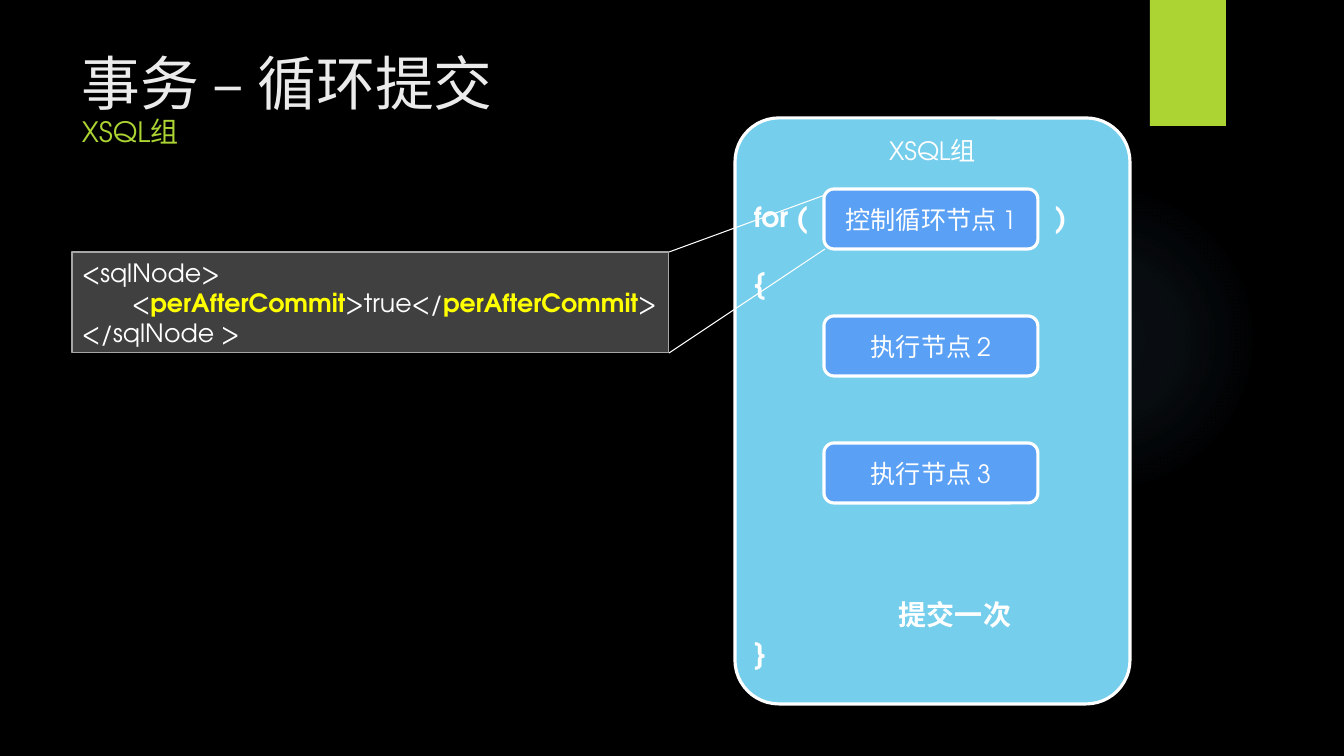
from dataclasses import dataclass

from lxml.etree import SubElement
from pptx import Presentation
from pptx.dml.color import RGBColor
from pptx.enum.shapes import MSO_CONNECTOR, MSO_SHAPE
from pptx.enum.text import MSO_ANCHOR, MSO_AUTO_SIZE, PP_ALIGN
from pptx.oxml import parse_xml
from pptx.oxml.ns import nsdecls, qn
from pptx.util import Emu, Pt

EMU_PER_PX = 914400 / 100.8


@dataclass(frozen=True)
class Theme:
    font: str = "TeX Gyre Adventor"
    background: str = "000000"
    glow: str = "7AC4F0"
    title: str = "EBEBEB"
    accent: str = "ACD433"
    white: str = "FFFFFF"
    group: str = "75CEEC"
    node: str = "5AA0F5"
    code_fill: str = "404040"
    code_line: str = "A6A6A6"
    highlight: str = "FFFF00"
    title_size: int = 42
    label_size: int = 20
    body_size: int = 18
    thick: float = 2.25
    thin: float = 0.75


THEME = Theme()


def px(length):
    return Emu(round(length * EMU_PER_PX))


def rgb(color):
    return RGBColor.from_string(color)


def add_run(paragraph, text, size=THEME.body_size, color=THEME.white, bold=False):
    run = paragraph.add_run()
    run.text = text
    run.font.name = THEME.font
    run.font.size = Pt(size)
    run.font.bold = bold
    run.font.color.rgb = rgb(color)


def add_panel(slide, kind, box, fill, line=None, width=THEME.thick):
    shape = slide.shapes.add_shape(kind, *map(px, box))
    shape.shadow.inherit = False
    shape.fill.solid()
    shape.fill.fore_color.rgb = rgb(fill)
    if line:
        shape.line.color.rgb = rgb(line)
        shape.line.width = Pt(width)
    else:
        shape.line.fill.background()
    return shape


def add_rounded_box(slide, box, fill, text, anchor, radius=0.1667):
    shape = add_panel(slide, MSO_SHAPE.ROUNDED_RECTANGLE, box, fill, THEME.white)
    shape.adjustments[0] = radius
    frame = shape.text_frame
    frame.word_wrap = True
    frame.vertical_anchor = anchor
    paragraph = frame.paragraphs[0]
    paragraph.alignment = PP_ALIGN.CENTER
    add_run(paragraph, text)


def add_label(slide, box, text):
    frame = slide.shapes.add_textbox(*map(px, box)).text_frame
    frame.word_wrap = False
    frame.auto_size = MSO_AUTO_SIZE.SHAPE_TO_FIT_TEXT
    add_run(frame.paragraphs[0], text, THEME.label_size, bold=True)


def add_glow(slide, box):
    """Add a soft circle that fades out from its centre."""
    shape = add_panel(slide, MSO_SHAPE.OVAL, box, THEME.glow)
    stops = "".join(
        f'<a:gs pos="{position}000"><a:srgbClr val="{THEME.glow}">'
        f'<a:alpha val="{alpha}000"/></a:srgbClr></a:gs>'
        for position, alpha in ((0, 7), (36, 6), (69, 0))
    )
    gradient = parse_xml(
        f'<a:gradFill {nsdecls("a")}><a:gsLst>{stops}</a:gsLst><a:path path="circle">'
        '<a:fillToRect l="50000" t="50000" r="50000" b="50000"/></a:path></a:gradFill>'
    )
    properties = shape.element.spPr
    properties.replace(properties.find(qn("a:solidFill")), gradient)


def add_title(slide, box, title, subtitle):
    frame = slide.shapes.add_textbox(*map(px, box)).text_frame
    frame.word_wrap = True
    paragraph = frame.paragraphs[0]
    paragraph.line_spacing = 0.9
    add_run(paragraph, title, THEME.title_size, THEME.title)
    paragraph.add_line_break()
    add_run(paragraph, subtitle, THEME.label_size, THEME.accent)


def add_code(slide, box, lines):
    """Add a code box; each line is a list of (text, highlighted) pairs."""
    shape = add_panel(slide, MSO_SHAPE.RECTANGLE, box, THEME.code_fill,
                      THEME.code_line, THEME.thin)
    frame = shape.text_frame
    frame.word_wrap = True
    frame.vertical_anchor = MSO_ANCHOR.TOP
    for index, line in enumerate(lines):
        paragraph = frame.add_paragraph() if index else frame.paragraphs[0]
        paragraph.alignment = PP_ALIGN.LEFT
        properties = paragraph._p.get_or_add_pPr()
        tabs = SubElement(properties, qn("a:tabLst"))
        SubElement(tabs, qn("a:tab"), pos=str(px(50)), algn="l")
        for text, highlighted in line:
            color = THEME.highlight if highlighted else THEME.white
            add_run(paragraph, text, color=color, bold=highlighted)


def add_line(slide, start, end):
    line = slide.shapes.add_connector(MSO_CONNECTOR.STRAIGHT, *map(px, start + end))
    line.line.color.rgb = rgb(THEME.white)
    line.line.width = Pt(THEME.thin)
    SubElement(line.element.spPr, qn("a:effectLst"))


def main():
    presentation = Presentation()
    presentation.slide_width, presentation.slide_height = px(1344), px(756)
    slide = presentation.slides.add_slide(presentation.slide_layouts[6])
    slide.background.fill.solid()
    slide.background.fill.fore_color.rgb = rgb(THEME.background)

    add_glow(slide, (949, 184, 310, 310))
    add_panel(slide, MSO_SHAPE.RECTANGLE, (1150, 0, 76, 126), THEME.accent)
    add_title(slide, (72, 50, 1037, 154), "事务 – 循环提交", "XSQL组")

    add_rounded_box(slide, (735, 118, 395, 586), THEME.group, "XSQL组",
                    MSO_ANCHOR.TOP, 0.111)
    for index, name in enumerate(("控制循环节点 1", "执行节点 2", "执行节点 3")):
        add_rounded_box(slide, (824, 189 + 127 * index, 214, 60), THEME.node, name,
                        MSO_ANCHOR.MIDDLE)

    for left, top, width, text in (
        (744, 195, 75, "for ("),
        (1045, 195, 31, ")"),
        (744, 261, 30, "{"),
        (744, 631, 30, "}"),
        (889, 593, 134, "提交一次"),
    ):
        add_label(slide, (left, top, width, 44), text)

    add_code(slide, (72, 252, 597, 101), [
        [("<sqlNode>", False)],
        [("\t<", False), ("perAfterCommit", True), (">true</", False),
         ("perAfterCommit", True), (">", False)],
        [("</sqlNode >", False)],
    ])
    add_line(slide, (669, 252), (825, 195))
    add_line(slide, (669, 353), (825, 249))

    presentation.save("out.pptx")


if __name__ == "__main__":
    main()
